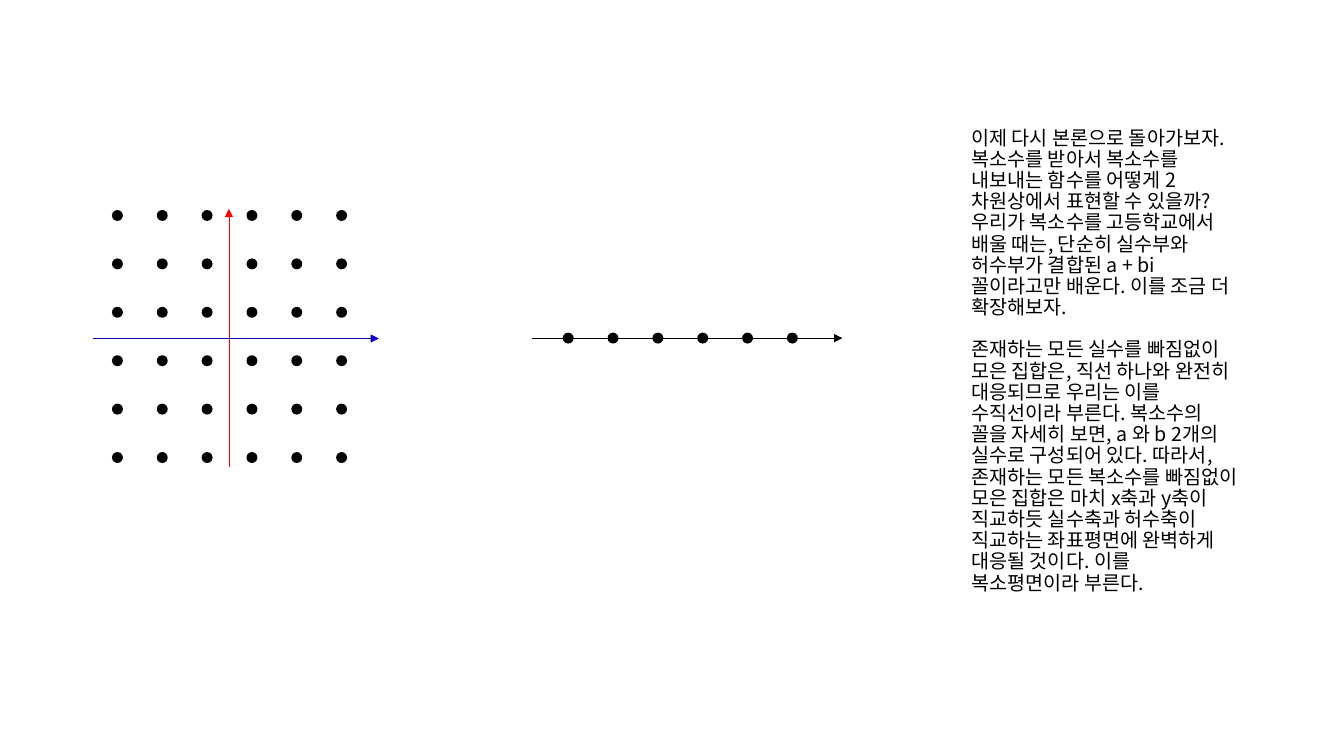
"""Build a slide showing the complex plane beside the real number line."""
from lxml import etree
from pptx import Presentation
from pptx.dml.color import RGBColor as Rgb
from pptx.enum.shapes import MSO_CONNECTOR as Link, MSO_SHAPE as Kind
from pptx.enum.text import MSO_ANCHOR as Anchor
from pptx.oxml.ns import qn
from pptx.util import Cm, Pt

INK = {"black": "000000", "red": "FF0000", "blue": "0E00C0"}
FONT = "Noto Sans CJK KR"
COUNT, DOT, STEP, ROW = 6, 0.24, 1.13, 1.22

deck = Presentation()
deck.slide_width, deck.slide_height = Cm(33.87), Cm(19.05)
slide = deck.slides.add_slide(deck.slide_layouts[6])
shapes = slide.shapes


def add_dot(left, top):
    dot = shapes.add_shape(Kind.OVAL, Cm(left), Cm(top), Cm(DOT), Cm(DOT))
    dot.shadow.inherit = False
    dot.fill.solid()
    dot.fill.fore_color.rgb = Rgb.from_string(INK["black"])
    dot.line.color.rgb = Rgb.from_string(INK["black"])
    dot.line.width = Pt(1)


for col in range(COUNT):
    for row in range(COUNT):
        add_dot(2.84 + col * STEP, 5.31 + row * ROW)

axes = [
    ("black", 13.41, 8.52, 21.23, 8.52),
    ("red", 5.77, 11.76, 5.77, 5.26),
    ("blue", 2.34, 8.53, 9.55, 8.53),
]
for tint, *ends in axes:
    axis = shapes.add_connector(Link.STRAIGHT, *[Cm(end) for end in ends])
    axis.line.color.rgb = Rgb.from_string(INK[tint])
    axis.line.width = Pt(0.5)
    etree.SubElement(axis.line._get_or_add_ln(), qn("a:tailEnd"), type="triangle")
    etree.SubElement(axis._element.spPr, qn("a:effectLst"))

for col in range(COUNT):
    add_dot(14.2 + col * STEP, 8.4)

texts = [
    "이제 다시 본론으로 돌아가보자. 복소수를 받아서 복소수를 내보내는 함수를 어떻게 "
    "2차원상에서 표현할 수 있을까? 우리가 복소수를 고등학교에서 배울 때는, 단순히 "
    "실수부와 허수부가 결합된 a + bi 꼴이라고만 배운다. 이를 조금 더 확장해보자.",
    "존재하는 모든 실수를 빠짐없이 모은 집합은, 직선 하나와 완전히 대응되므로 우리는 "
    "이를 수직선이라 부른다. 복소수의 꼴을 자세히 보면, a 와 b 2개의 실수로 구성되어 "
    "있다. 따라서, 존재하는 모든 복소수를 빠짐없이 모은 집합은 마치 x축과 y축이 "
    "직교하듯 실수축과 허수축이 직교하는 좌표평면에 완벽하게 대응될 것이다. 이를 "
    "복소평면이라 부른다.",
]
box = shapes.add_textbox(Cm(24.23), Cm(1.02), Cm(7.32), Cm(16.15))
frame = box.text_frame
frame.word_wrap = True
frame.vertical_anchor = Anchor.MIDDLE
for rank, text in enumerate(texts):
    para = frame.add_paragraph() if rank else frame.paragraphs[0]
    para.line_spacing = Pt(15.15)
    para.space_before = Pt(15.15 * rank)
    run = para.add_run()
    run.text = text
    run.font.size = Pt(14)
    run.font.name = FONT
    run.font.color.rgb = Rgb.from_string(INK["black"])
    etree.SubElement(run.font._element, qn("a:ea"), typeface=FONT)

deck.save("out.pptx")
